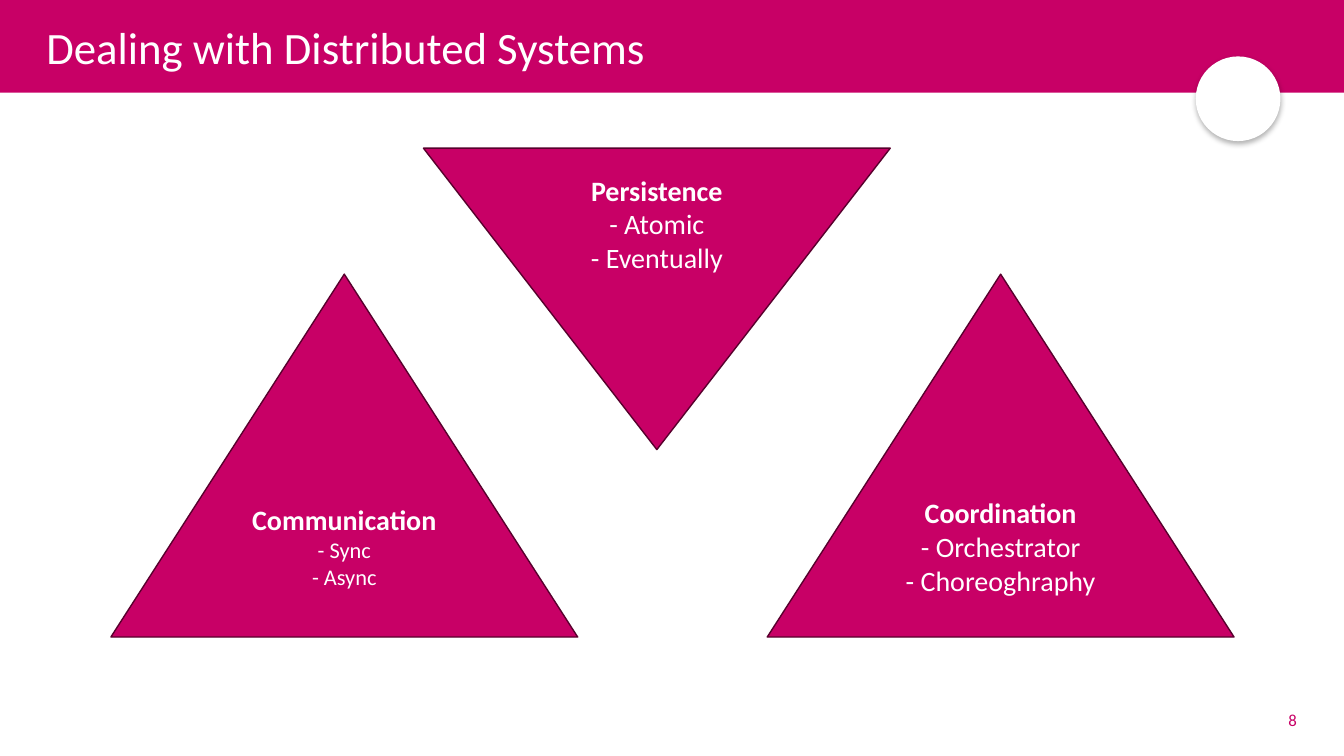
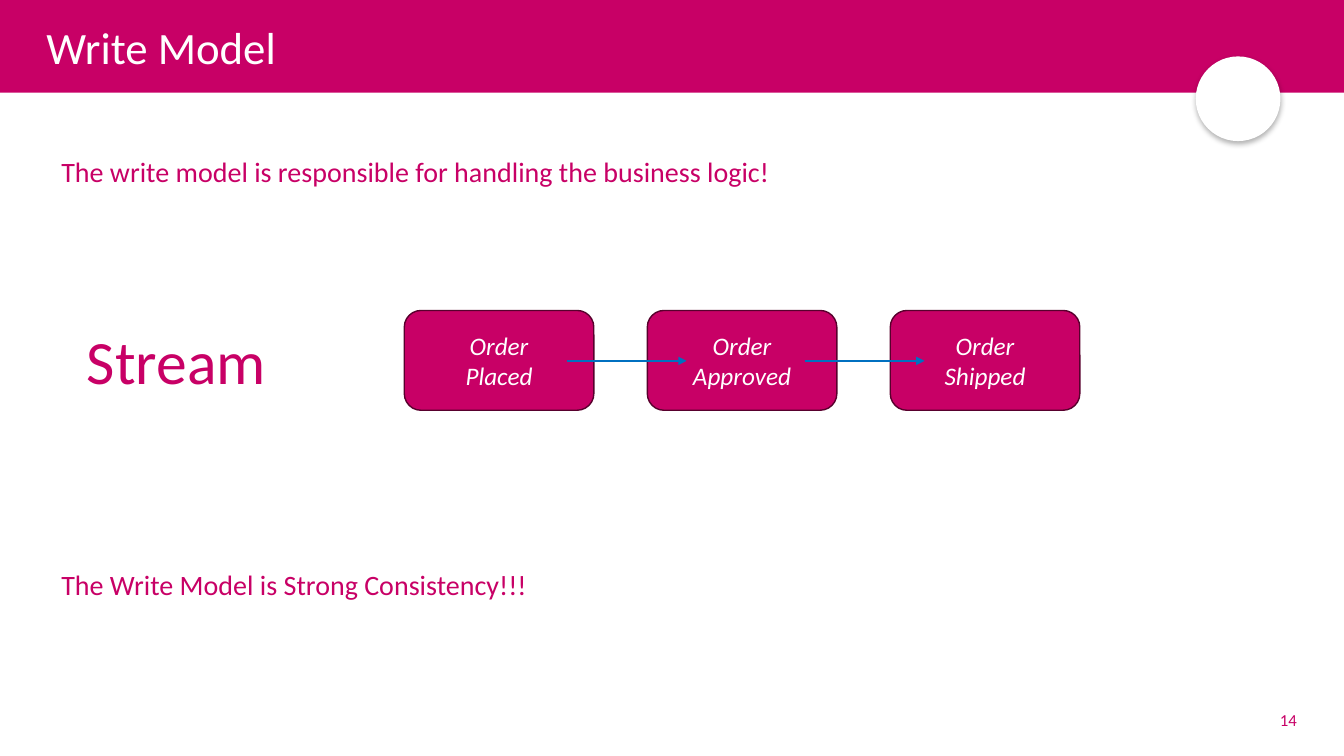
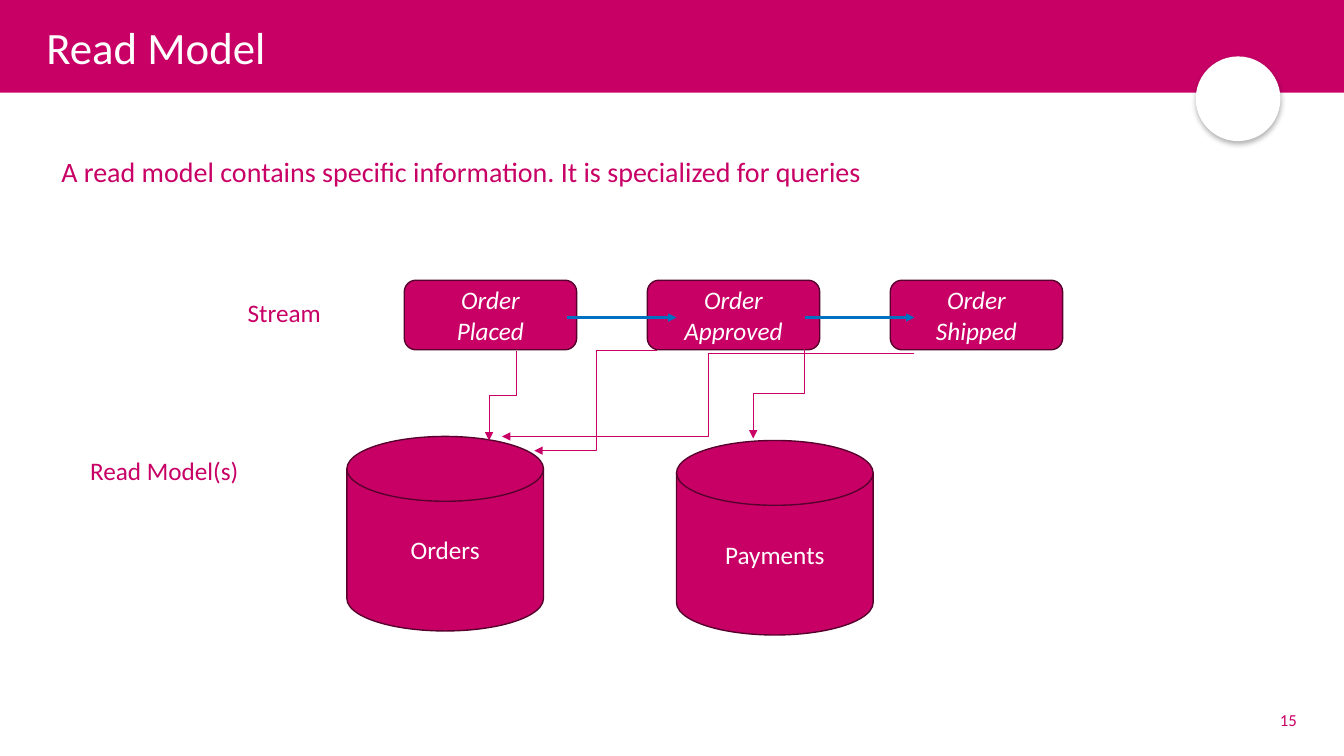
from lxml import etree
from pptx import Presentation
from pptx import util as u
from pptx.dml.color import RGBColor
from pptx.enum import shapes, text
from pptx.oxml import parse_xml
from pptx.oxml.ns import nsdecls, qn

MAGENTA = RGBColor(0xC8, 0x00, 0x66)
WINE = RGBColor(0x58, 0x00, 0x2D)
BLUE = RGBColor(0x00, 0x70, 0xC0)
WHITE = RGBColor(0xFF, 0xFF, 0xFF)
FONT = "Calibri"
KIND = shapes.MSO_SHAPE
ALIGN = text.PP_ALIGN
WIDTH, HEIGHT = 13.33, 7.5
MARGIN = 0.51
EVENT_LEFT, EVENT_STEP = 4.01, 2.41
EVENTS = ["Placed", "Approved", "Shipped"]


def put(slide, kind, at, lines, size, align=ALIGN.CENTER, italic=False, bold_first=False, rest=None):
    """Add a magenta shape with white text, or a plain magenta text box if kind is None."""
    box = [u.Inches(n) for n in at]
    if kind is None:
        shape = slide.shapes.add_textbox(*box)
    else:
        shape = slide.shapes.add_shape(kind, *box)
        shape.shadow.inherit = False
        shape.fill.solid()
        shape.fill.fore_color.rgb = MAGENTA
        shape.line.color.rgb = WINE
        shape.line.width = u.Pt(1)
        shape.text_frame.vertical_anchor = text.MSO_ANCHOR.MIDDLE
    frame = shape.text_frame
    frame.word_wrap = True
    frame.text = "\n".join(lines)
    for row, paragraph in enumerate(frame.paragraphs):
        paragraph.alignment = align
        font = paragraph.font
        font.name = FONT
        font.size = u.Pt(rest if rest and row else size)
        font.color.rgb = WHITE if kind else MAGENTA
        font.italic = italic
        font.bold = bold_first and row == 0
    return shape


def arrow(slide, start, end, colour, weight, bend=None):
    """Add an arrow: straight, or bent with its first leg 'across' or 'down'."""
    (x1, y1), (x2, y2) = start, end
    if bend == "down":  # a quarter turn about the centre swaps the two extents
        cx, cy, half_w, half_h = (x1 + x2) / 2, (y1 + y2) / 2, (y2 - y1) / 2, (x1 - x2) / 2
        x1, y1, x2, y2 = cx - half_w, cy - half_h, cx + half_w, cy + half_h
    kind = shapes.MSO_CONNECTOR.ELBOW if bend else shapes.MSO_CONNECTOR.STRAIGHT
    line = slide.shapes.add_connector(kind, *[u.Inches(n) for n in (x1, y1, x2, y2)])
    line.line.color.rgb = colour
    line.line.width = u.Pt(weight)
    properties = line.element.spPr
    if bend == "down":
        properties.find(qn("a:xfrm")).set("rot", "5400000")
    etree.SubElement(properties.find(qn("a:ln")), qn("a:tailEnd"), type="triangle")
    etree.SubElement(properties, qn("a:effectLst"))


deck = Presentation()
deck.slide_width, deck.slide_height = u.Inches(WIDTH), u.Inches(HEIGHT)
layout = deck.slide_layouts[5]

# Title, page number and shared decoration
slides = []
for heading, page in [("Dealing with Distributed Systems", 8), ("Write Model", 14), ("Read Model", 15)]:
    slide = deck.slides.add_slide(layout)
    slides.append(slide)
    title = slide.shapes.title
    title.left, title.top, title.width, title.height = [u.Inches(n) for n in (0.36, 0.15, 12.06, 0.69)]
    title.text = heading
    title.text_frame.vertical_anchor = text.MSO_ANCHOR.MIDDLE
    title.text_frame.auto_size = text.MSO_AUTO_SIZE.NONE
    paragraph = title.text_frame.paragraphs[0]
    paragraph.alignment = ALIGN.LEFT
    paragraph.line_spacing = 0.9
    paragraph.font.name, paragraph.font.size = FONT, u.Pt(32)
    paragraph.font.color.rgb = WHITE
    number = put(slide, None, (12.35, 6.94, 0.61, 0.4), [str(page)], 12, ALIGN.RIGHT)
    number.text_frame.vertical_anchor = text.MSO_ANCHOR.MIDDLE

# Band and badge, moved to the layout behind its placeholders
persistence, write_model, read_model = slides
decoration = [(KIND.RECTANGLE, (0, 0, WIDTH, 0.92), MAGENTA), (KIND.OVAL, (11.86, 0.56, 0.84, 0.84), WHITE)]
for depth, (kind, at, colour) in enumerate(decoration):
    part = persistence.shapes.add_shape(kind, *[u.Inches(n) for n in at])
    part.shadow.inherit = False
    part.fill.solid()
    part.fill.fore_color.rgb = colour
    part.line.fill.background()
    if kind == KIND.OVAL:
        part.element.spPr.find(qn("a:effectLst")).append(parse_xml(
            f'<a:outerShdw {nsdecls("a")} blurRad="50800" dist="25400" dir="5400000" rotWithShape="0">'
            '<a:srgbClr val="000000"><a:alpha val="30000"/></a:srgbClr></a:outerShdw>'))
    layout.shapes.element.insert(2 + depth, part.element)

# Distributed systems: three triangles
for kind, at, lines, rest in [
    (KIND.FLOWCHART_MERGE, (4.2, 1.47, 4.63, 2.99), ["Persistence", "- Atomic", "- Eventually"], 20),
    (KIND.ISOSCELES_TRIANGLE, (1.1, 2.72, 4.63, 3.6), ["Communication", "- Sync", "- Async"], 16),
    (KIND.ISOSCELES_TRIANGLE, (7.61, 2.72, 4.63, 3.6), ["Coordination", "- Orchestrator", "- Choreoghraphy"], 20),
]:
    put(persistence, kind, at, lines, 20, bold_first=True, rest=rest)

# Event streams of the write and read models
for slide, top, width, height, arrow_y, reach in [
    (write_model, 3.08, 1.88, 0.99, 3.58, 1.19),
    (read_model, 2.78, 1.71, 0.69, 3.15, 1.09),
]:
    for column, event in enumerate(EVENTS):
        put(slide, KIND.ROUNDED_RECTANGLE, (EVENT_LEFT + column * EVENT_STEP, top, width, height),
            ["Order", event], 18, italic=True)
    for tail in (5.62, 7.98):
        arrow(slide, (tail, arrow_y), (tail + reach, arrow_y), BLUE, 1.5)

# Statements
for slide, top, width, statement in [
    (write_model, 1.48, 7.38, "The write model is responsible for handling the business logic!"),
    (write_model, 5.58, 7.38, "The Write Model is Strong Consistency!!!"),
    (read_model, 1.48, 10.29, "A read model contains specific information. It is specialized for queries"),
]:
    put(slide, None, (MARGIN, top, width, 0.44), [statement], 20, ALIGN.LEFT)

# Row labels
put(write_model, None, (0.75, 3.15, 2, 0.84), ["Stream"], 44).text_frame.word_wrap = False
put(read_model, None, (1.91, 2.9, 1.82, 0.4), ["Stream"], 18)
put(read_model, None, (0.72, 4.47, 1.82, 0.4), ["Read Model(s)"], 18)

# Read model stores and the events that feed them
for left, top, store in [(3.44, 4.33, "Orders"), (6.71, 4.37, "Payments")]:
    put(read_model, KIND.FLOWCHART_MAGNETIC_DISK, (left, top, 1.95, 1.93), [store], 18)
for start, end, bend in [
    ((5.12, 3.48), (4.85, 4.37), "down"),
    ((7.98, 3.46), (7.47, 4.35), "down"),
    ((6.52, 3.48), (5.3, 4.47), "across"),
    ((9.07, 3.51), (4.98, 4.33), "across"),
]:
    arrow(read_model, start, end, MAGENTA, 0.5, bend)

deck.save("out.pptx")
